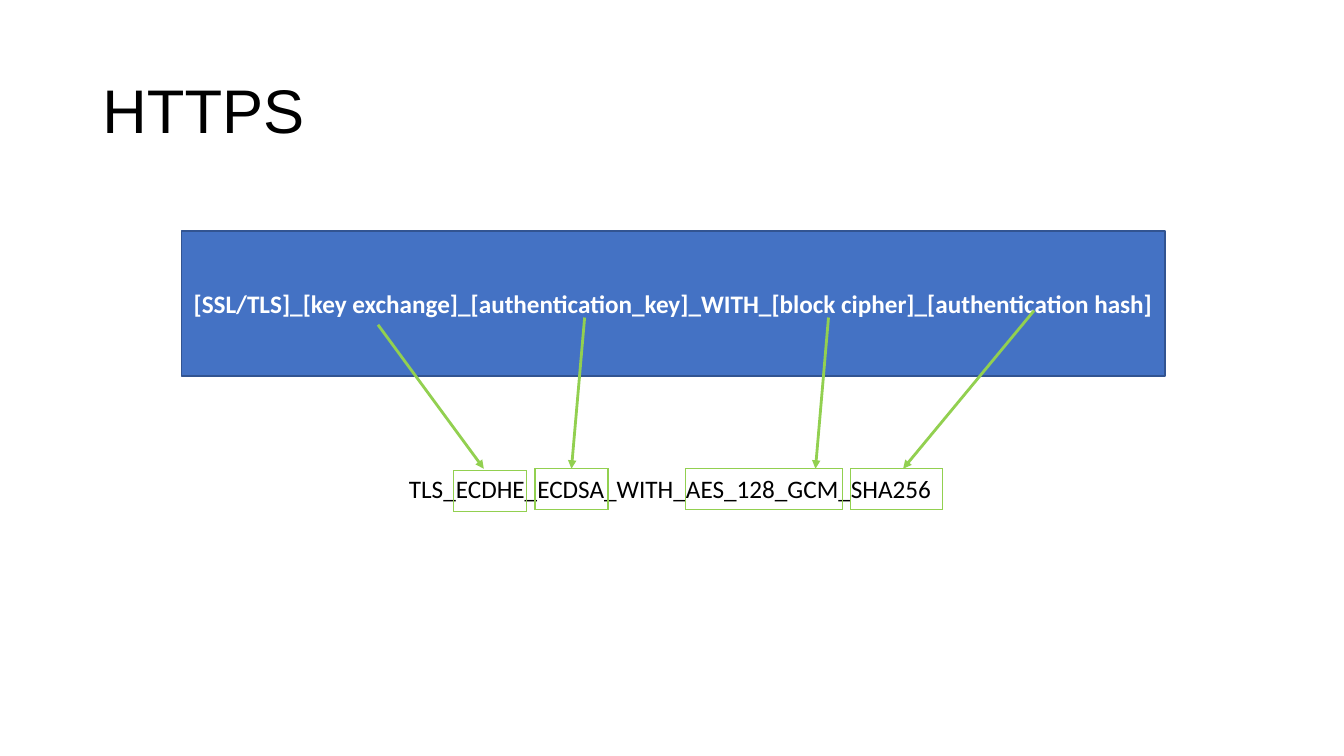
"""Builds the HTTPS slide that maps a cipher suite name to its parts."""
from lxml import etree
from pptx import Presentation
from pptx.dml.color import RGBColor
from pptx.enum import shapes, text
from pptx.oxml import ns
from pptx.util import Pt


class SuiteSlide:
    """Holds the style and the current slide."""

    COLOURS = {"ink": "000000", "paper": "FFFFFF", "banner": "4472C4",
               "edge": "325491", "mark": "92D050"}

    def __init__(self, deck):
        """Add a title-only slide."""
        self.slide = deck.slides.add_slide(deck.slide_layouts[5])

    def colour(self, name):
        """Look up a colour by name."""
        return RGBColor.from_string(self.COLOURS[name])

    def set_line(self, frame, words, size, colour, font="Calibri", bold=False,
                 align=text.PP_ALIGN.LEFT):
        """Put one formatted paragraph in a text frame."""
        frame.text = words
        line = frame.paragraphs[0]
        line.alignment = align
        line.font.name, line.font.size, line.font.bold = font, Pt(size), bold
        line.font.color.rgb = self.colour(colour)
        return line

    def title(self, words, left, top, width, height):
        """Place and format the title."""
        heading = self.slide.shapes.title
        heading.left, heading.top = Pt(left), Pt(top)
        heading.width, heading.height = Pt(width), Pt(height)
        heading.text_frame.vertical_anchor = text.MSO_ANCHOR.MIDDLE
        line = self.set_line(heading.text_frame, words, 44, "ink", "Arial")
        line.line_spacing = 0.9

    def block(self, kind, edge, left, top, width, height):
        """Draw a filled shape with a thin edge."""
        block = self.slide.shapes.add_shape(
            kind, Pt(left), Pt(top), Pt(width), Pt(height))
        block.shadow.inherit = False
        block.fill.solid()
        block.fill.fore_color.rgb = self.colour("banner")
        block.line.color.rgb = self.colour(edge)
        block.line.width = Pt(1)
        return block

    def banner(self, words, *place):
        """Draw the naming pattern on a solid rectangle."""
        banner = self.block(shapes.MSO_SHAPE.RECTANGLE, "edge", *place)
        banner.text_frame.vertical_anchor = text.MSO_ANCHOR.MIDDLE
        self.set_line(banner.text_frame, words, 18, "paper", bold=True,
                      align=text.PP_ALIGN.CENTER)

    def label(self, words, left, top, width, height):
        """Add a single unwrapped line of text."""
        label = self.slide.shapes.add_textbox(
            Pt(left), Pt(top), Pt(width), Pt(height))
        label.text_frame.word_wrap = False
        label.text_frame.auto_size = text.MSO_AUTO_SIZE.SHAPE_TO_FIT_TEXT
        self.set_line(label.text_frame, words, 18, "ink")

    def outline(self, *place):
        """Draw a hollow frame around one part of the suite name."""
        self.block(shapes.MSO_SHAPE.FRAME, "mark", *place).adjustments[0] = 0

    def arrow(self, *ends):
        """Draw an arrow from the pattern to the suite name."""
        arrow = self.slide.shapes.add_connector(
            shapes.MSO_CONNECTOR.STRAIGHT, *map(Pt, ends))
        arrow.line.color.rgb = self.colour("mark")
        arrow.line.width = Pt(2)
        properties = arrow.element.spPr
        stroke = properties.find(ns.qn("a:ln"))
        etree.SubElement(stroke, ns.qn("a:tailEnd"), type="triangle")
        etree.SubElement(properties, ns.qn("a:effectLst"))


def main():
    """Build and save the slide."""
    deck = Presentation()
    deck.slide_width, deck.slide_height = Pt(960), Pt(540)
    page = SuiteSlide(deck)
    suite_top, suite_height = 334.8, 29

    page.title("HTTPS", 66, 28.8, 828, 104.4)
    page.banner("[SSL/TLS]_[key exchange]_[authentication_key]_WITH_"
                "[block cipher]_[authentication hash]", 129.6, 165, 702.7, 103.7)
    page.label("TLS_ECDHE_ECDSA_WITH_AES_128_GCM_SHA256",
               285, suite_top, 391.7, suite_height)

    for start_x, start_y, end_x, left, width, drop in (
            (270, 232, 345.6, 324, 52, 1.4),
            (417.6, 226.8, 408.2, 382.3, 52, 0),
            (591.8, 226.8, 582.5, 489.6, 112.3, 0),
            (738.7, 221.8, 645.1, 607.7, 65.5, 0)):
        page.arrow(start_x, start_y, end_x, suite_top)
        page.outline(left, suite_top + drop, width, suite_height)

    deck.save("out.pptx")


if __name__ == "__main__":
    main()
